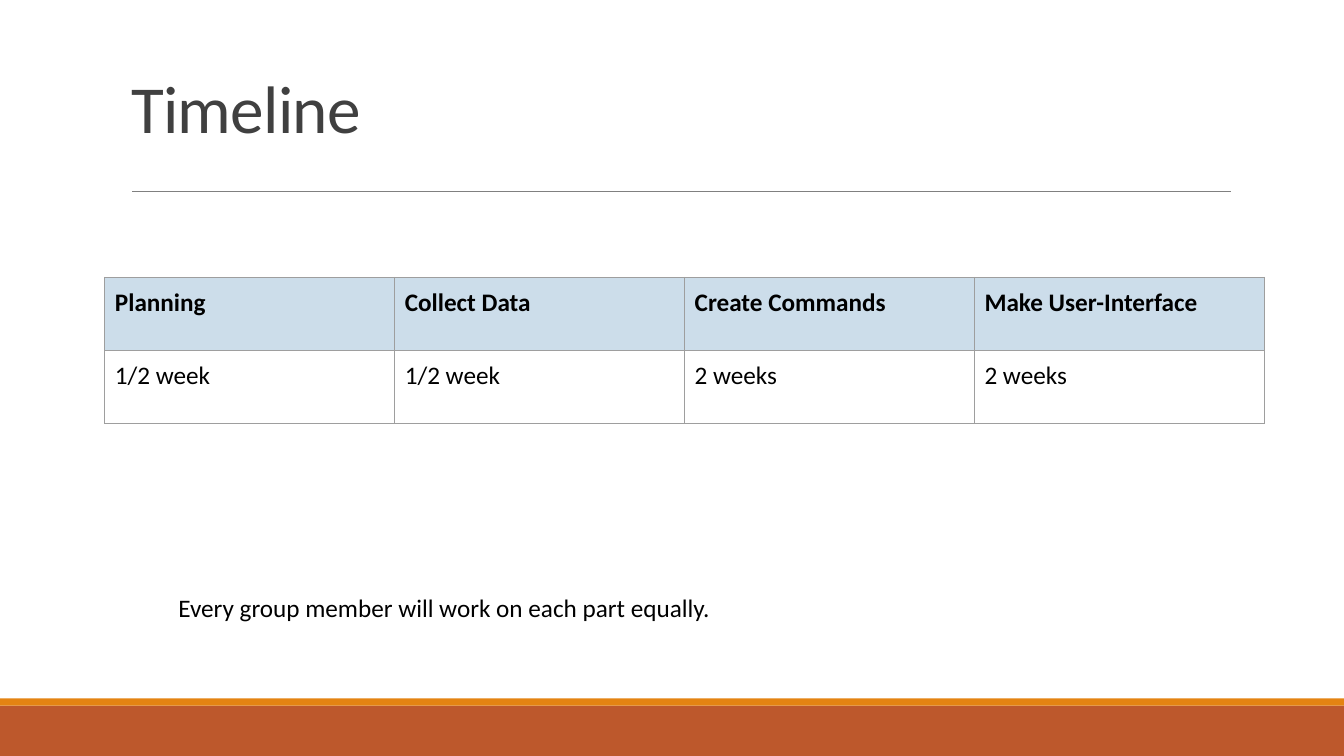
"""Build the project timeline slide."""
from dataclasses import dataclass

from lxml import etree
from pptx import Presentation
from pptx.dml.color import RGBColor
from pptx.enum.shapes import MSO_CONNECTOR, MSO_SHAPE
from pptx.enum.text import MSO_ANCHOR, MSO_AUTO_SIZE, PP_ALIGN
from pptx.oxml.ns import qn
from pptx.slide import Slide
from pptx.table import _Cell
from pptx.text.text import TextFrame
from pptx.util import Inches, Pt

RECTANGLE = MSO_SHAPE.RECTANGLE
STRAIGHT = MSO_CONNECTOR.STRAIGHT
MIDDLE = MSO_ANCHOR.MIDDLE
TOP = MSO_ANCHOR.TOP
LEFT = PP_ALIGN.LEFT
NO_AUTOFIT = MSO_AUTO_SIZE.NONE
GROW = MSO_AUTO_SIZE.SHAPE_TO_FIT_TEXT

COLORS = {
    "rust": "BD582C",
    "orange": "E48312",
    "rule": "808080",
    "title": "404040",
    "text": "000000",
    "header": "CCDDEA",
    "border": "9E9E9E",
}
TITLE_FONT = {"name": "Calibri", "size": Pt(48), "bold": False}
BODY_FONT = {"name": "Calibri", "size": Pt(18), "bold": False}
HEADER_FONT = BODY_FONT | {"bold": True}
MARGINS = ("margin_left", "margin_right", "margin_top", "margin_bottom")
BORDER_TAGS = ("a:lnL", "a:lnR", "a:lnT", "a:lnB")


@dataclass
class Band:
    """A full-width footer band."""
    top: float
    height: float
    color: str


@dataclass
class Phase:
    """A project phase and its duration."""
    name: str
    duration: str


BANDS = [Band(7, 0.5, "rust"), Band(6.93, 0.07, "orange")]
PHASES = [
    Phase("Planning", "1/2 week"),
    Phase("Collect Data", "1/2 week"),
    Phase("Create Commands", "2 weeks"),
    Phase("Make User-Interface", "2 weeks"),
]


def rgb(name: str) -> RGBColor:
    """Return a named colour."""
    return RGBColor.from_string(COLORS[name])


def write(frame: TextFrame, text: str, font: dict, color: str) -> None:
    """Write one left-aligned paragraph."""
    frame.text = text
    para = frame.paragraphs[0]
    para.alignment = LEFT
    span = para.runs[0]
    for attribute, value in font.items():
        setattr(span.font, attribute, value)
    span.font.color.rgb = rgb(color)


def add_band(page: Slide, band: Band, width: int) -> None:
    """Draw a footer band."""
    box = page.shapes.add_shape(
        RECTANGLE, 0, Inches(band.top), width, Inches(band.height))
    box.shadow.inherit = False
    box.fill.solid()
    box.fill.fore_color.rgb = rgb(band.color)
    box.line.fill.background()


def add_rule(page: Slide) -> None:
    """Draw the line under the title."""
    rule = page.shapes.add_connector(
        STRAIGHT, Inches(1.31), Inches(1.9), Inches(12.21), Inches(1.9))
    rule.line.color.rgb = rgb("rule")
    rule.line.width = Pt(0.5)
    etree.SubElement(rule._element.spPr, qn("a:effectLst"))


def add_title(page: Slide) -> None:
    """Fill and place the title placeholder."""
    title = page.shapes.title
    place = {"left": 1.2, "top": 0.31, "width": 11, "height": 1.59}
    for attribute, value in place.items():
        setattr(title, attribute, Inches(value))
    frame = title.text_frame
    write(frame, "Timeline", TITLE_FONT, "title")
    frame.vertical_anchor = MIDDLE
    frame.auto_size = NO_AUTOFIT
    frame.word_wrap = True
    para = frame.paragraphs[0]
    para.line_spacing = 0.9
    para.runs[0].font._element.set("spc", "-50")


def set_borders(cell: _Cell) -> None:
    """Outline a table cell on all sides."""
    properties = cell._tc.get_or_add_tcPr()
    for index, tag in enumerate(BORDER_TAGS):
        line = etree.Element(qn(tag), w=str(Pt(0.75)))
        fill = etree.SubElement(line, qn("a:solidFill"))
        etree.SubElement(fill, qn("a:srgbClr"), val=COLORS["border"])
        properties.insert(index, line)


def fill_cell(cell: _Cell, text: str, is_header: bool) -> None:
    """Write and format a table cell."""
    write(cell.text_frame, text, HEADER_FONT if is_header else BODY_FONT, "text")
    cell.vertical_anchor = TOP
    for margin in MARGINS:
        setattr(cell, margin, Inches(0.1))
    if is_header:
        cell.fill.solid()
        cell.fill.fore_color.rgb = rgb("header")
    else:
        cell.fill.background()
    set_borders(cell)


def add_schedule(page: Slide) -> None:
    """Draw the table of phases."""
    table = page.shapes.add_table(
        2, len(PHASES), Inches(1.04), Inches(2.75),
        Inches(11.5), Inches(1.45)).table
    table.horz_banding = False
    for column, phase in enumerate(PHASES):
        fill_cell(table.cell(0, column), phase.name, True)
        fill_cell(table.cell(1, column), phase.duration, False)


def add_note(page: Slide) -> None:
    """Draw the note on shared work."""
    box = page.shapes.add_textbox(
        Inches(1.67), Inches(5.78), Inches(10.02), Inches(0.44))
    frame = box.text_frame
    frame.word_wrap = True
    frame.auto_size = GROW
    for margin in MARGINS:
        setattr(frame, margin, Inches(0.1))
    write(frame, "Every group member will work on each part equally.",
          BODY_FONT, "text")


def main() -> None:
    """Build and save the deck."""
    deck = Presentation()
    deck.slide_width = Inches(13.33)
    deck.slide_height = Inches(7.5)
    page = deck.slides.add_slide(deck.slide_layouts[5])
    for band in BANDS:
        add_band(page, band, deck.slide_width)
    add_rule(page)
    add_title(page)
    add_schedule(page)
    add_note(page)
    deck.save("out.pptx")


if __name__ == "__main__":
    main()
